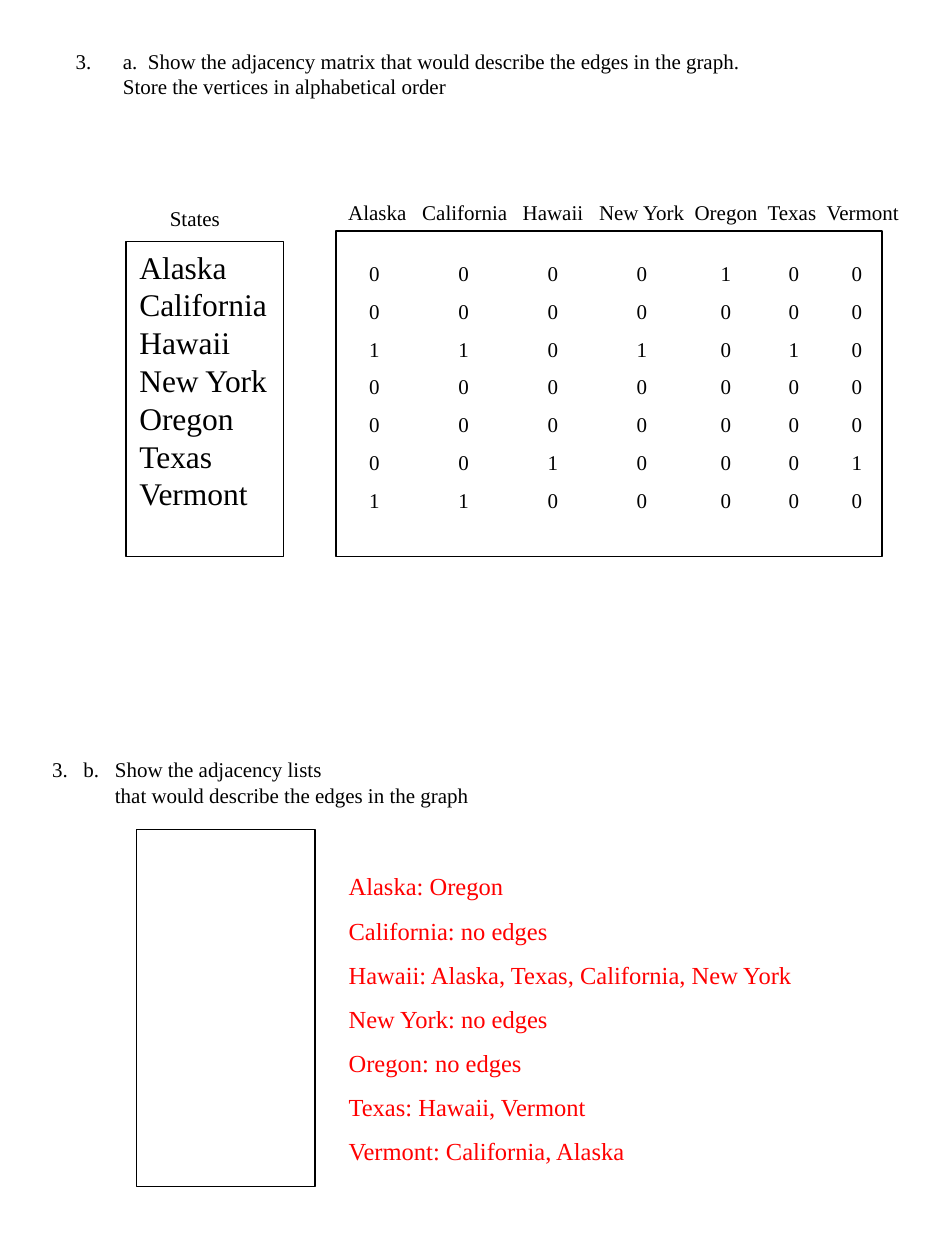
from pptx import Presentation
from pptx.dml.color import RGBColor
from pptx.enum.shapes import MSO_SHAPE
from pptx.enum.text import MSO_ANCHOR, MSO_AUTO_SIZE, PP_ALIGN
from pptx.oxml.ns import qn
from pptx.util import Pt
from lxml.etree import SubElement

BLACK, RED = "000000", "FF0000"
FONT = "Times New Roman"

MATRIX_QUESTION = ("a.  Show the adjacency matrix that would describe the edges "
                   "in the graph. Store the vertices in alphabetical order")
LISTS_QUESTION = "Show the adjacency lists\vthat would describe the edges in the graph"
STATES = ["Alaska", "California", "Hawaii", "New York", "Oregon", "Texas", "Vermont"]
MATRIX = [
    [0, 0, 0, 0, 1, 0, 0],
    [0, 0, 0, 0, 0, 0, 0],
    [1, 1, 0, 1, 0, 1, 0],
    [0, 0, 0, 0, 0, 0, 0],
    [0, 0, 0, 0, 0, 0, 0],
    [0, 0, 1, 0, 0, 0, 1],
    [1, 1, 0, 0, 0, 0, 0],
]
ADJACENCY = {
    "Alaska": "Oregon",
    "California": "no edges",
    "Hawaii": "Alaska, Texas, California, New York",
    "New York": "no edges",
    "Oregon": "no edges",
    "Texas": "Hawaii, Vermont",
    "Vermont": "California, Alaska",
}
COLUMN_WIDTHS = [42.3, 57.4, 43.7, 54.6, 41.7, 33.7, 43.7]
DIGIT_INDENTS = [12, 20.7, 14.3, 21.5, 14.9, 12, 14.3]
HEADER_HEIGHT, ROW_HEIGHT = 30.4, 21.6


def rgb(code):
    return RGBColor.from_string(code)


def place(shape, left, top, width, height):
    shape.left, shape.top = Pt(left), Pt(top)
    shape.width, shape.height = Pt(width), Pt(height)


def write(frame, lines, size=12, color=BLACK, spacing=1.0, hanging=0,
          numbering="arabicPeriod", number=None):
    frame.word_wrap = True
    frame.text = "\n".join(lines)
    for paragraph in frame.paragraphs:
        paragraph.alignment = PP_ALIGN.LEFT
        paragraph.line_spacing = spacing
        paragraph.space_before = Pt(0)
        for run in paragraph.runs:
            run.font.name = FONT
            run.font.size = Pt(size)
            run.font.bold = False
            run.font.color.rgb = rgb(color)
        props = paragraph._p.get_or_add_pPr()
        props.set("marL", str(Pt(hanging)))
        props.set("indent", str(-Pt(hanging)))
        if number:
            SubElement(props, qn("a:buFont"), typeface=FONT)
            SubElement(props, qn("a:buAutoNum"), type=numbering, startAt=str(number))
        else:
            SubElement(props, qn("a:buNone"))


def fill_shape(shape, lines, **style):
    """Write into a text box or placeholder of fixed size, from its top."""
    shape.text_frame.auto_size = MSO_AUTO_SIZE.NONE
    shape.text_frame.vertical_anchor = MSO_ANCHOR.TOP
    write(shape.text_frame, lines, **style)


def add_text(shapes, box, lines, **style):
    fill_shape(shapes.add_textbox(*map(Pt, box)), lines, **style)


def add_frame(shapes, box):
    frame = shapes.add_shape(MSO_SHAPE.RECTANGLE, *map(Pt, box))
    frame.shadow.inherit = False
    frame.fill.background()
    frame.line.color.rgb = rgb(BLACK)
    frame.line.width = Pt(0.75)


def add_matrix(shapes, left, top):
    rows = [STATES] + MATRIX
    heights = [HEADER_HEIGHT] + [ROW_HEIGHT] * len(MATRIX)
    table = shapes.add_table(len(rows), len(STATES), Pt(left), Pt(top),
                             Pt(sum(COLUMN_WIDTHS)), Pt(sum(heights))).table
    table.first_row = table.horz_banding = False
    # "No Style, No Grid"
    table._tbl.tblPr.find(qn("a:tableStyleId")).text = "{2D5ABB26-0587-4C30-8999-92F81FD0307C}"
    for column, width in zip(table.columns, COLUMN_WIDTHS):
        column.width = Pt(width)
    for r, (values, height) in enumerate(zip(rows, heights)):
        table.rows[r].height = Pt(height)
        for c, value in enumerate(values):
            cell = table.cell(r, c)
            cell.fill.background()
            cell.margin_left = Pt(DIGIT_INDENTS[c] if r else 0)
            cell.margin_right = cell.margin_top = cell.margin_bottom = 0
            cell.vertical_anchor = MSO_ANCHOR.MIDDLE if r else MSO_ANCHOR.TOP
            write(cell.text_frame, [str(value)])


def main():
    deck = Presentation()
    deck.slide_width, deck.slide_height = Pt(540), Pt(720)
    slide = deck.slides.add_slide(deck.slide_layouts[1])
    shapes = slide.shapes
    question, answer = slide.placeholders

    place(question, 36, 24, 420, 36)
    fill_shape(question, [MATRIX_QUESTION], hanging=27, number=3)
    place(answer, 192, 486, 324, 182)
    fill_shape(answer, [f"{state}: {edges}" for state, edges in ADJACENCY.items()],
               size=14, color=RED, spacing=1.5)

    add_text(shapes, (22.7, 429, 30, 22), ["3."])
    add_text(shapes, (40.6, 429, 254, 36), [LISTS_QUESTION], hanging=18,
             numbering="alphaLcPeriod", number=2)
    add_frame(shapes, (78, 474, 102, 204))

    graph = shapes.add_group_shape().shapes
    add_frame(graph, (72, 138, 90, 180))
    add_frame(graph, (192, 132, 312, 186))
    add_text(graph, (90, 114, 50, 22), ["States"])

    add_text(shapes, (72.5, 138, 123, 160), STATES, size=18)
    add_matrix(shapes, 199, 115.6)
    deck.save("out.pptx")


if __name__ == "__main__":
    main()
